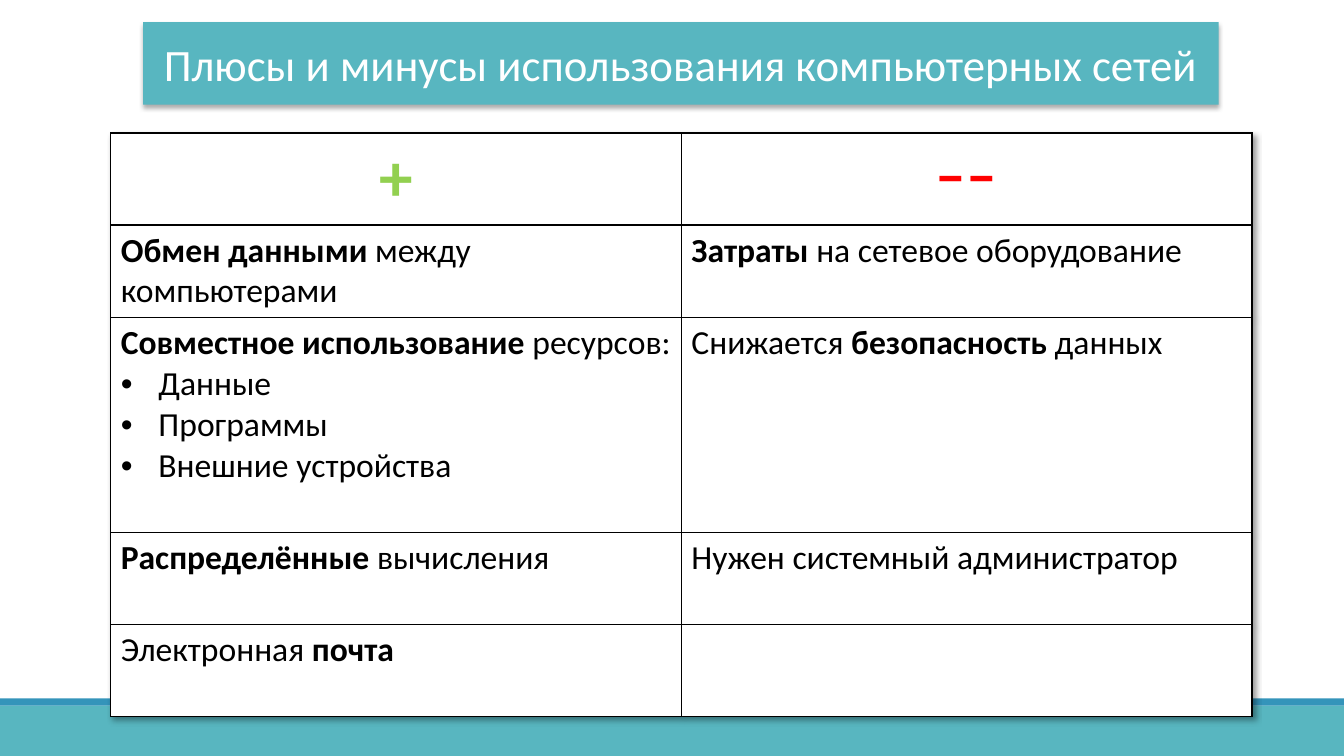
from dataclasses import dataclass

from lxml import etree
from pptx import Presentation
from pptx.dml.color import RGBColor
from pptx.enum.shapes import MSO_SHAPE
from pptx.enum.text import MSO_ANCHOR, MSO_AUTO_SIZE, PP_ALIGN
from pptx.oxml import parse_xml
from pptx.oxml.ns import nsdecls, qn
from pptx.util import Cm, Pt

RECT = MSO_SHAPE.RECTANGLE
CENTER, LEFT = PP_ALIGN.CENTER, PP_ALIGN.LEFT
MIDDLE = MSO_ANCHOR.MIDDLE
NO_AUTOFIT = MSO_AUTO_SIZE.NONE

FONT = "Calibri"
COLORS = {
    "teal": "58B6C0",
    "blue": "3494BA",
    "white": "FFFFFF",
    "black": "000000",
    "plus": "92D050",
    "minus": "FF0000",
}
BULLET_INDENT = Cm(0.95)
BORDER_WIDTH = Pt(1)


@dataclass
class Bar:
    top: float
    height: float
    color: str


@dataclass
class Line:
    """One paragraph; parts between asterisks are bold."""
    text: str
    size: int = 24
    color: str = "black"
    align: PP_ALIGN = LEFT
    bullet: bool = False


BARS = [Bar(17.78, 1.27, "teal"), Bar(17.6, 0.18, "blue")]
ROW_HEIGHTS = [2.32, 2.32, 5.42, 2.32, 2.32]
ROWS = [
    ([Line("*+*", 48, "plus", CENTER)], [Line("*––*", 44, "minus", CENTER)]),
    ([Line("*Обмен данными* между компьютерами")],
     [Line("*Затраты* на сетевое оборудование")]),
    ([Line("*Совместное использование* ресурсов:"),
      Line("Данные", bullet=True),
      Line("Программы", bullet=True),
      Line("Внешние устройства", bullet=True)],
     [Line("Снижается *безопасность* данных")]),
    ([Line("*Распределённые* вычисления")],
     [Line("Нужен системный администратор")]),
    ([Line("Электронная *почта*")], []),
]


def rgb(name: str) -> RGBColor:
    return RGBColor.from_string(COLORS[name])


def write(p, text: str, *, size: int, color: str, align: PP_ALIGN) -> None:
    """Fill a paragraph, switching bold on and off at each asterisk."""
    p.alignment = align
    for i, part in enumerate(text.split("*")):
        if part:
            r = p.add_run()
            r.text = part
            r.font.name = FONT
            r.font.size = Pt(size)
            r.font.bold = i % 2 == 1
            r.font.color.rgb = rgb(color)


def add_bullet(p) -> None:
    pPr = p._p.get_or_add_pPr()
    pPr.set("marL", str(BULLET_INDENT))
    pPr.set("indent", str(-BULLET_INDENT))
    etree.SubElement(pPr, qn("a:buFont")).set("typeface", "Arial")
    etree.SubElement(pPr, qn("a:buChar")).set("char", "•")


def shadow(blur: float, distance: float, angle: int, alpha: int):
    return parse_xml(
        f'<a:effectLst {nsdecls("a")}><a:outerShdw blurRad="{Pt(blur)}" '
        f'dist="{Pt(distance)}" dir="{angle * 60000}" rotWithShape="0">'
        f'<a:srgbClr val="{COLORS["black"]}"><a:alpha val="{alpha * 1000}"/>'
        '</a:srgbClr></a:outerShdw></a:effectLst>')


def add_borders(cell) -> None:
    tcPr = cell._tc.get_or_add_tcPr()
    for i, side in enumerate("LRTB"):
        tcPr.insert(i, parse_xml(
            f'<a:ln{side} {nsdecls("a")} w="{BORDER_WIDTH}"><a:solidFill>'
            f'<a:srgbClr val="{COLORS["black"]}"/></a:solidFill></a:ln{side}>'))


def add_bar(s, bar: Bar, width: int) -> None:
    sp = s.shapes.add_shape(RECT, 0, Cm(bar.top), width, Cm(bar.height))
    sp.shadow.inherit = False
    sp.fill.solid()
    sp.fill.fore_color.rgb = rgb(bar.color)
    sp.line.fill.background()


def format_title(sp) -> None:
    sp.left, sp.top, sp.width, sp.height = Cm(3.61), Cm(0.56), Cm(27.1), Cm(2.08)
    spPr = sp._element.spPr
    spPr.insert(1, parse_xml(
        f'<a:prstGeom {nsdecls("a")} prst="roundRect"><a:avLst/></a:prstGeom>'))
    sp.fill.solid()
    sp.fill.fore_color.rgb = rgb("teal")
    sp.line.fill.background()
    spPr.append(shadow(3.5, 2.2, 90, 32))
    tf = sp.text_frame
    tf.auto_size = NO_AUTOFIT
    tf.vertical_anchor = MIDDLE
    write(tf.paragraphs[0], "Плюсы и минусы использования компьютерных сетей",
          size=32, color="white", align=CENTER)


def fill_cell(cell, lines: list[Line]) -> None:
    cell.fill.solid()
    cell.fill.fore_color.rgb = rgb("white")
    add_borders(cell)
    tf = cell.text_frame
    for i, line in enumerate(lines):
        p = tf.add_paragraph() if i else tf.paragraphs[0]
        if line.bullet:
            add_bullet(p)
        write(p, line.text, size=line.size, color=line.color, align=line.align)


def add_comparison(s) -> None:
    table = s.shapes.add_table(len(ROWS), 2, Cm(2.79), Cm(3.35), Cm(28.76),
                               Cm(sum(ROW_HEIGHTS))).table
    table.first_row = table.horz_banding = False
    table._tbl.tblPr.insert(0, shadow(4, 3, 45, 40))
    for row, height, cells in zip(table.rows, ROW_HEIGHTS, ROWS):
        row.height = Cm(height)
        for cell, lines in zip(row.cells, cells):
            fill_cell(cell, lines)


def main() -> None:
    prs = Presentation()
    prs.slide_width, prs.slide_height = Cm(33.87), Cm(19.05)
    s = prs.slides.add_slide(prs.slide_layouts.get_by_name("Title Only"))
    for bar in BARS:
        add_bar(s, bar, prs.slide_width)
    add_comparison(s)
    format_title(s.shapes.title)
    prs.save("out.pptx")


if __name__ == "__main__":
    main()
